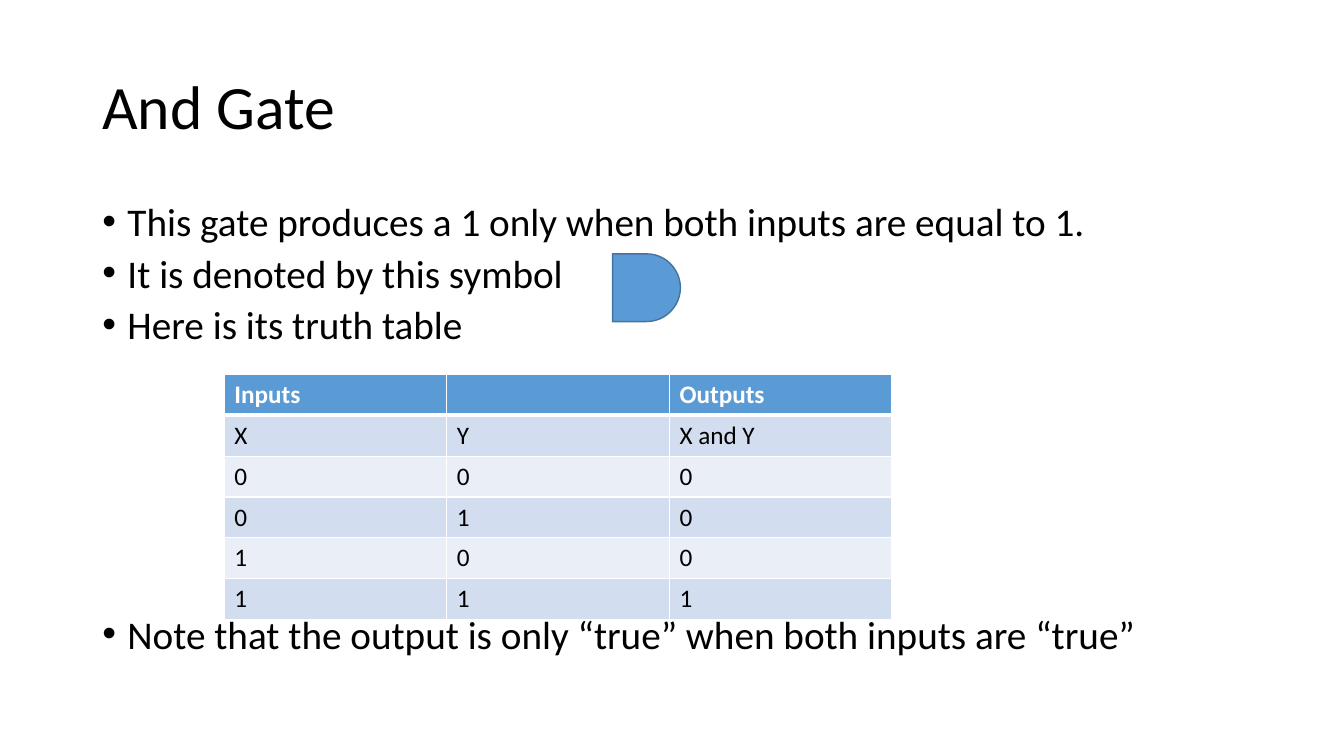
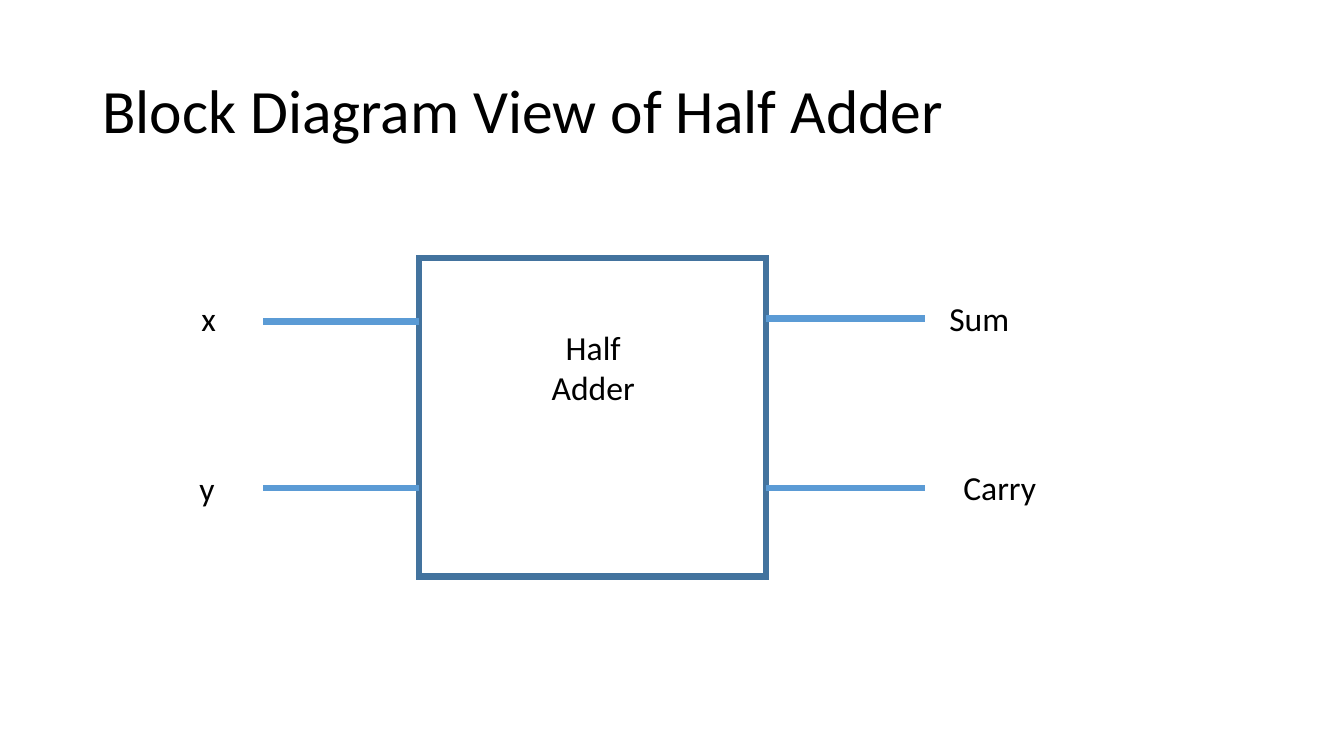
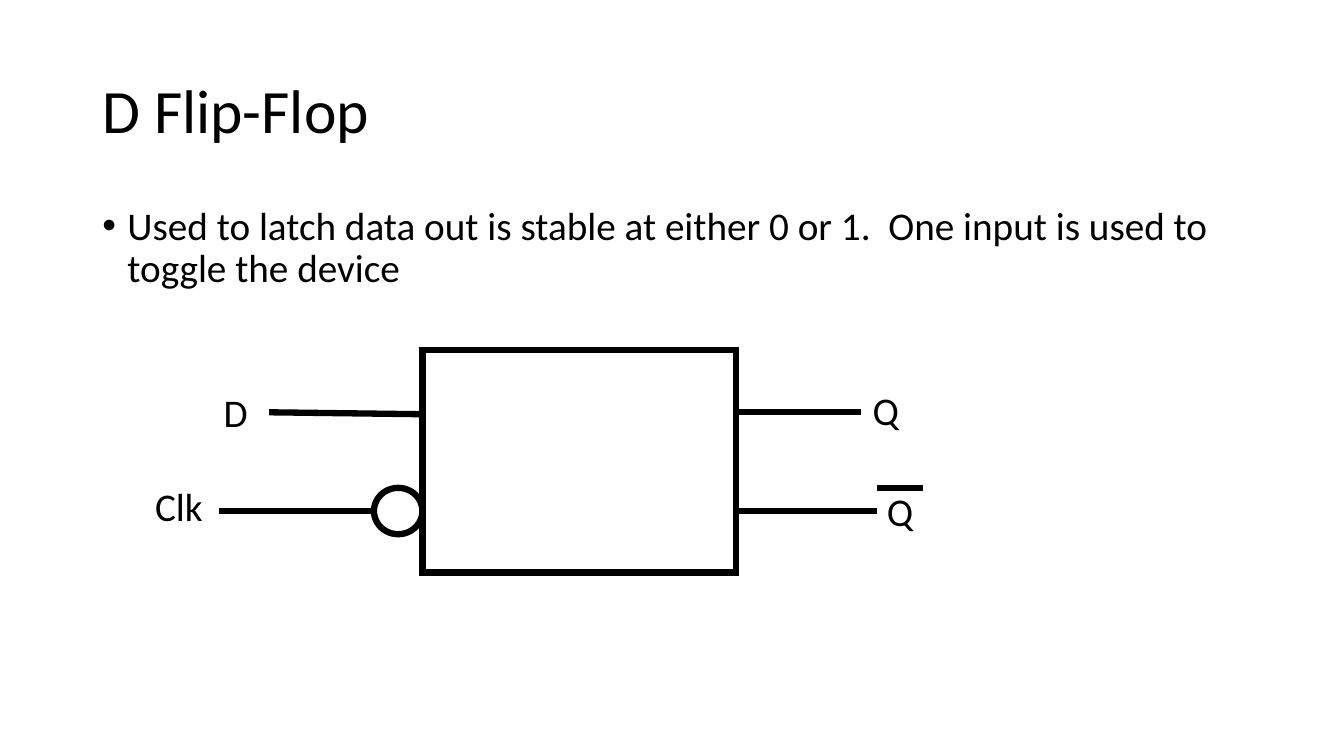
from dataclasses import dataclass

import pptx
import pptx.dml.color
import pptx.enum.shapes
import pptx.enum.text
import pptx.oxml
import pptx.oxml.ns
import pptx.presentation
import pptx.shapes.autoshape
import pptx.slide
import pptx.table
import pptx.text.text
import pptx.util

Pt = pptx.util.Pt
Preset = pptx.enum.shapes.MSO_SHAPE
Align = pptx.enum.text.PP_ALIGN
Anchor = pptx.enum.text.MSO_ANCHOR

FONT = "Calibri"
BLACK, WHITE = "000000", "FFFFFF"
BLUE, DARK_BLUE = "5B9BD5", "43739E"
BAND_DARK, BAND_LIGHT = "D2DEEF", "EAEFF7"
MARGIN, CONTENT_WIDTH = 66, 828
HEAVY = 4.5


@dataclass(frozen=True)
class Box:
    left: float
    top: float
    width: float
    height: float

    @property
    def right(self) -> float:
        return self.left + self.width

    def lengths(self) -> tuple[pptx.util.Length, ...]:
        return Pt(self.left), Pt(self.top), Pt(self.width), Pt(self.height)


@dataclass(frozen=True)
class Wire:
    start_x: float
    start_y: float
    end_x: float
    end_y: float


@dataclass(frozen=True)
class Label:
    lines: tuple[str, ...]
    box: Box
    alignment: Align = Align.LEFT


@dataclass(frozen=True)
class Bullet:
    text: str
    space_before: float = 10


def rgb(colour: str) -> pptx.dml.color.RGBColor:
    return pptx.dml.color.RGBColor.from_string(colour)


def element(markup: str):
    """Parse one drawing element, given without its namespace declaration."""
    name, rest = markup[:-2].partition(" ")[::2]
    return pptx.oxml.parse_xml(f'{name} {pptx.oxml.ns.nsdecls("a")} {rest}/>')


def add_run(paragraph: pptx.text.text._Paragraph, text: str, size: float,
            colour: str = BLACK, bold: bool = False) -> None:
    run = paragraph.add_run()
    run.text = text
    run.font.name = FONT
    run.font.size = Pt(size)
    run.font.bold = bold
    run.font.color.rgb = rgb(colour)


def add_text_frame(slide: pptx.slide.Slide, box: Box) -> pptx.text.text.TextFrame:
    frame = slide.shapes.add_textbox(*box.lengths()).text_frame
    frame.word_wrap = True
    return frame


def add_titled_slide(presentation: pptx.presentation.Presentation, title: str,
                     top: float = 28.8) -> pptx.slide.Slide:
    slide = presentation.slides.add_slide(presentation.slide_layouts[6])
    frame = add_text_frame(slide, Box(MARGIN, top, CONTENT_WIDTH, 104.4))
    frame.vertical_anchor = Anchor.MIDDLE
    frame.paragraphs[0].line_spacing = 0.9
    add_run(frame.paragraphs[0], title, 44)
    return slide


def add_bullets(slide: pptx.slide.Slide, bullets: list[Bullet], line_spacing: float) -> None:
    frame = add_text_frame(slide, Box(MARGIN, 144, CONTENT_WIDTH, 342.7))
    for index, bullet in enumerate(bullets):
        paragraph = frame.add_paragraph() if index else frame.paragraphs[0]
        properties = paragraph._p.get_or_add_pPr()
        properties.set("marL", str(Pt(18)))
        properties.set("indent", str(Pt(-18)))
        properties.append(element('<a:buFont typeface="Arial"/>'))
        properties.append(element('<a:buChar char="•"/>'))
        paragraph.line_spacing = line_spacing
        if index:
            paragraph.space_before = Pt(bullet.space_before)
        add_run(paragraph, bullet.text, 28)


def add_outline(slide: pptx.slide.Slide, preset: Preset, box: Box, colour: str,
                width: float = HEAVY) -> pptx.shapes.autoshape.Shape:
    shape = slide.shapes.add_shape(preset, *box.lengths())
    shape.shadow.inherit = False
    shape.fill.background()
    shape.line.color.rgb = rgb(colour)
    shape.line.width = Pt(width)
    shape.line._get_or_add_ln().append(element('<a:miter lim="800000"/>'))
    return shape


def add_wires(slide: pptx.slide.Slide, wires: list[Wire], colour: str) -> None:
    for wire in wires:
        connector = slide.shapes.add_connector(
            pptx.enum.shapes.MSO_CONNECTOR.STRAIGHT,
            Pt(wire.start_x), Pt(wire.start_y), Pt(wire.end_x), Pt(wire.end_y))
        connector.line.color.rgb = rgb(colour)
        connector.line.width = Pt(HEAVY)
        connector._element.spPr.append(element("<a:effectLst />"))


def add_labels(slide: pptx.slide.Slide, labels: list[Label], size: float) -> None:
    for label in labels:
        frame = add_text_frame(slide, label.box)
        frame.auto_size = pptx.enum.text.MSO_AUTO_SIZE.SHAPE_TO_FIT_TEXT
        for index, line in enumerate(label.lines):
            paragraph = frame.add_paragraph() if index else frame.paragraphs[0]
            paragraph.alignment = label.alignment
            add_run(paragraph, line, size)


def set_borders(cell: pptx.table._Cell, top: float, bottom: float) -> None:
    properties = cell._tc.get_or_add_tcPr()
    widths = {"lnL": 1, "lnR": 1, "lnT": top, "lnB": bottom}
    for index, (side, width) in enumerate(widths.items()):
        border = element(f'<a:{side} w="{Pt(width)}"/>')
        fill = element("<a:solidFill />")
        fill.append(element(f'<a:srgbClr val="{WHITE}"/>'))
        border.append(fill)
        properties.insert(index, border)


def add_truth_table(slide: pptx.slide.Slide, rows: list[tuple[str, ...]], box: Box) -> None:
    table = slide.shapes.add_table(len(rows), len(rows[0]), *box.lengths()).table
    for row_index, row in enumerate(rows):
        header = row_index == 0
        fill = BLUE if header else BAND_DARK if row_index % 2 else BAND_LIGHT
        for column_index, text in enumerate(row):
            cell = table.cell(row_index, column_index)
            cell.fill.solid()
            cell.fill.fore_color.rgb = rgb(fill)
            set_borders(cell, top=3 if row_index == 1 else 1, bottom=3 if header else 1)
            if text:
                add_run(cell.text_frame.paragraphs[0], text, 18,
                        WHITE if header else BLACK, bold=header)


def build_and_gate(presentation: pptx.presentation.Presentation) -> None:
    slide = add_titled_slide(presentation, "And Gate", top=26)
    add_bullets(slide, [
        Bullet("This gate produces a 1 only when both inputs are equal to 1."),
        Bullet("It is denoted by this symbol"),
        Bullet("Here is its truth table"),
        Bullet("Note that the output is only “true” when both inputs are “true”", 194),
    ], line_spacing=0.8)
    gate = add_outline(slide, Preset.FLOWCHART_DELAY, Box(437.6, 181.3, 48.4, 48.4), DARK_BLUE, 1)
    gate.fill.solid()
    gate.fill.fore_color.rgb = rgb(BLUE)
    inputs = [(x, y) for x in (0, 1) for y in (0, 1)]
    rows = [("Inputs", "", "Outputs"), ("X", "Y", "X and Y")]
    rows += [(str(x), str(y), str(x & y)) for x, y in inputs]
    add_truth_table(slide, rows, Box(160.2, 267.4, 477, 29.2 * len(rows)))


def build_half_adder(presentation: pptx.presentation.Presentation) -> None:
    slide = add_titled_slide(presentation, "Block Diagram View of Half Adder")
    adder = Box(299.5, 184.3, 247.7, 227.5)
    input_x, output_x = 188, 661
    add_outline(slide, Preset.RECTANGLE, adder, DARK_BLUE)
    add_wires(slide, [
        Wire(adder.right, 227.5, output_x, 227.5),
        Wire(adder.right, 348.5, output_x, 348.5),
        Wire(adder.left, 229.7, input_x, 229.7),
        Wire(adder.left, 348.5, input_x, 348.5),
    ], BLUE)
    add_labels(slide, [
        Label(("Half", "Adder"), Box(344.9, 229.7, 157.7, 65.5), Align.CENTER),
        Label(("x",), Box(136.8, 209.5, 45.4, 36.4)),
        Label(("y",), Box(135.4, 330.5, 42.5, 36.4)),
        Label(("Sum",), Box(671, 209.5, 80, 36.4)),
        Label(("Carry",), Box(681, 329.8, 69.1, 36.4)),
    ], 24)


def build_flip_flop(presentation: pptx.presentation.Presentation) -> None:
    slide = add_titled_slide(presentation, "D Flip-Flop")
    add_bullets(slide, [
        Bullet("Used to latch data out is stable at either 0 or 1.  "
               "One input is used to toggle the device"),
    ], line_spacing=0.9)
    latch = Box(301.7, 249.8, 223.9, 159.1)
    inverter = Box(267.1, 348.5, 34.6, 33.1)
    data_y, clock_y, bar_x = 294.5, 365, 626.4
    add_outline(slide, Preset.RECTANGLE, latch, BLACK)
    add_outline(slide, Preset.OVAL, inverter, BLACK)
    add_wires(slide, [
        Wire(192.2, data_y, latch.left, 295.9),
        Wire(156.2, clock_y, inverter.left, clock_y),
        Wire(latch.right, data_y, 614.9, data_y),
        Wire(latch.right, clock_y, bar_x, clock_y),
        Wire(bar_x, inverter.top, 659.5, inverter.top),
    ], BLACK)
    add_labels(slide, [
        Label(("D",), Box(152.6, 273.6, 63.4, 41.2)),
        Label(("Clk",), Box(103.7, 340.6, 86.4, 41.2)),
        Label(("Q",), Box(616.3, 272.2, 87.1, 41.2)),
        Label(("Q",), Box(bar_x, 344.2, 110.2, 41.2)),
    ], 28)


def main() -> None:
    presentation = pptx.Presentation()
    presentation.slide_width, presentation.slide_height = Pt(960), Pt(540)
    build_and_gate(presentation)
    build_half_adder(presentation)
    build_flip_flop(presentation)
    presentation.save("out.pptx")


if __name__ == "__main__":
    main()
